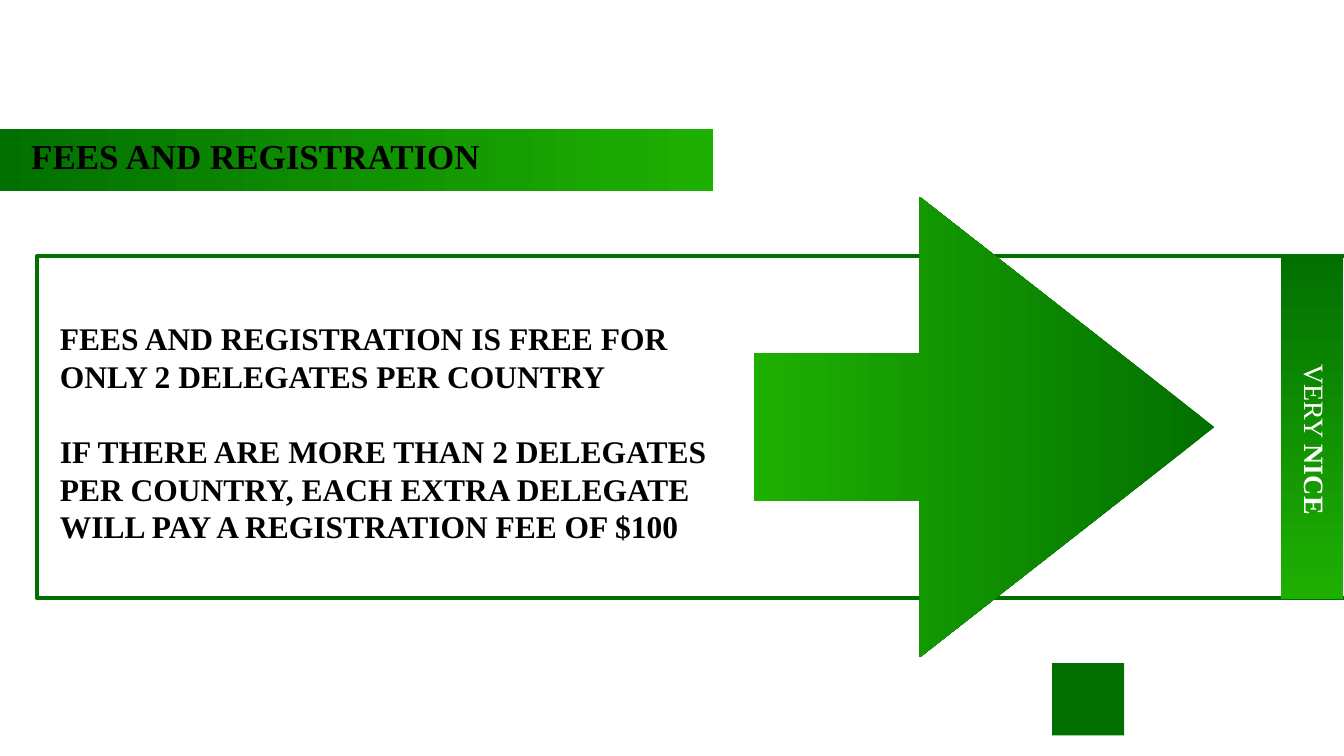
from pptx import Presentation
from pptx.dml.color import RGBColor
from pptx.enum.shapes import MSO_SHAPE
from pptx.enum.text import MSO_ANCHOR, PP_ALIGN
from pptx.util import Pt

PX = 9144  # 100 px to the inch
RECT, ARROW = MSO_SHAPE.RECTANGLE, MSO_SHAPE.RIGHT_ARROW
MIDDLE, LEFT, CENTER = MSO_ANCHOR.MIDDLE, PP_ALIGN.LEFT, PP_ALIGN.CENTER

THEME = {
    "dark": RGBColor(0x02, 0x70, 0x01),
    "light": RGBColor(0x1E, 0xB0, 0x01),
    "ink": RGBColor(0, 0, 0),
    "paper": RGBColor(255, 255, 255),
    "serif": "Times New Roman",
    "title": Pt(50),
    "body": Pt(45),
    "tab": Pt(40),
}

prs = Presentation()
prs.slide_width, prs.slide_height = 2667 * PX, 1500 * PX
s = prs.slides.add_slide(prs.slide_layouts[6])


def add_gradient_shape(kind, x, y, w, h, angle=0):
    sp = s.shapes.add_shape(kind, x * PX, y * PX, w * PX, h * PX)
    sp.shadow.inherit = False
    sp.line.fill.background()
    sp.fill.gradient()
    sp.fill.gradient_angle = angle
    for stop, name in zip(sp.fill.gradient_stops, ("dark", "light")):
        stop.color.rgb = THEME[name]
    return sp


def set_text(sp, paragraphs, size, color, bold=None, inset=6, left=6):
    """Fill a shape with paragraphs, each given as a list of runs."""
    tf = sp.text_frame
    tf.word_wrap = True
    tf.vertical_anchor = MIDDLE
    tf.margin_top = tf.margin_right = tf.margin_bottom = inset * PX
    tf.margin_left = left * PX
    for i, runs in enumerate(paragraphs):
        p = tf.add_paragraph() if i else tf.paragraphs[0]
        p.alignment = LEFT
        p.font.name, p.font.size = THEME["serif"], THEME[size]
        p.font.color.rgb = THEME[color]
        p.font.bold = bold
        for text in runs:
            p.add_run().text = text
    return tf.paragraphs


# Title banner
banner = add_gradient_shape(RECT, -5, 255, 1420, 124)
p = set_text(banner, [["FEES AND REGISTRATION"]], "title", "ink",
             bold=True, inset=0, left=67)[0]
p.line_spacing = 0.8

# Fee rules
rules = s.shapes.add_textbox(113 * PX, 625 * PX, 1383 * PX, 465 * PX)
paragraphs = set_text(rules, [
    ["FEES AND REGISTRATION IS FREE FOR ONLY 2 DELEGATES PER COUNTRY"],
    ["IF THERE ARE MORE THAN 2 DELEGATES PER COUNTRY, EACH EXTRA DELEGATE "
     "WILL PAY A REGISTRATION FEE OF $100"],
], "body", "ink", bold=True)
paragraphs[1].space_before = Pt(53)

# Frame, running off the right edge
frame = s.shapes.add_shape(RECT, 73 * PX, 508 * PX, 2611 * PX, 679 * PX)
frame.shadow.inherit = False
frame.fill.background()
frame.line.color.rgb = THEME["dark"]
frame.line.width = Pt(5)

# Arrow
arrow = add_gradient_shape(ARROW, 1497, 391, 913, 913, angle=180)
arrow.adjustments[0], arrow.adjustments[1] = 0.32, 0.64

# Side tab, turned to read downwards
tab = add_gradient_shape(RECT, 2263, 785, 682, 124)
tab.rotation = 90
p = set_text(tab, [["VERY ", "NICE"]], "tab", "paper", inset=0, left=50)[0]
p.alignment = CENTER
p.line_spacing = 0.8
p.runs[1].font.bold = True

# Plain block in the bottom right corner
block = s.shapes.add_shape(RECT, 2088 * PX, 1316 * PX, 143 * PX, 143 * PX)
block.shadow.inherit = False
block.fill.solid()
block.fill.fore_color.rgb = THEME["dark"]
block.line.fill.background()

prs.save("out.pptx")
